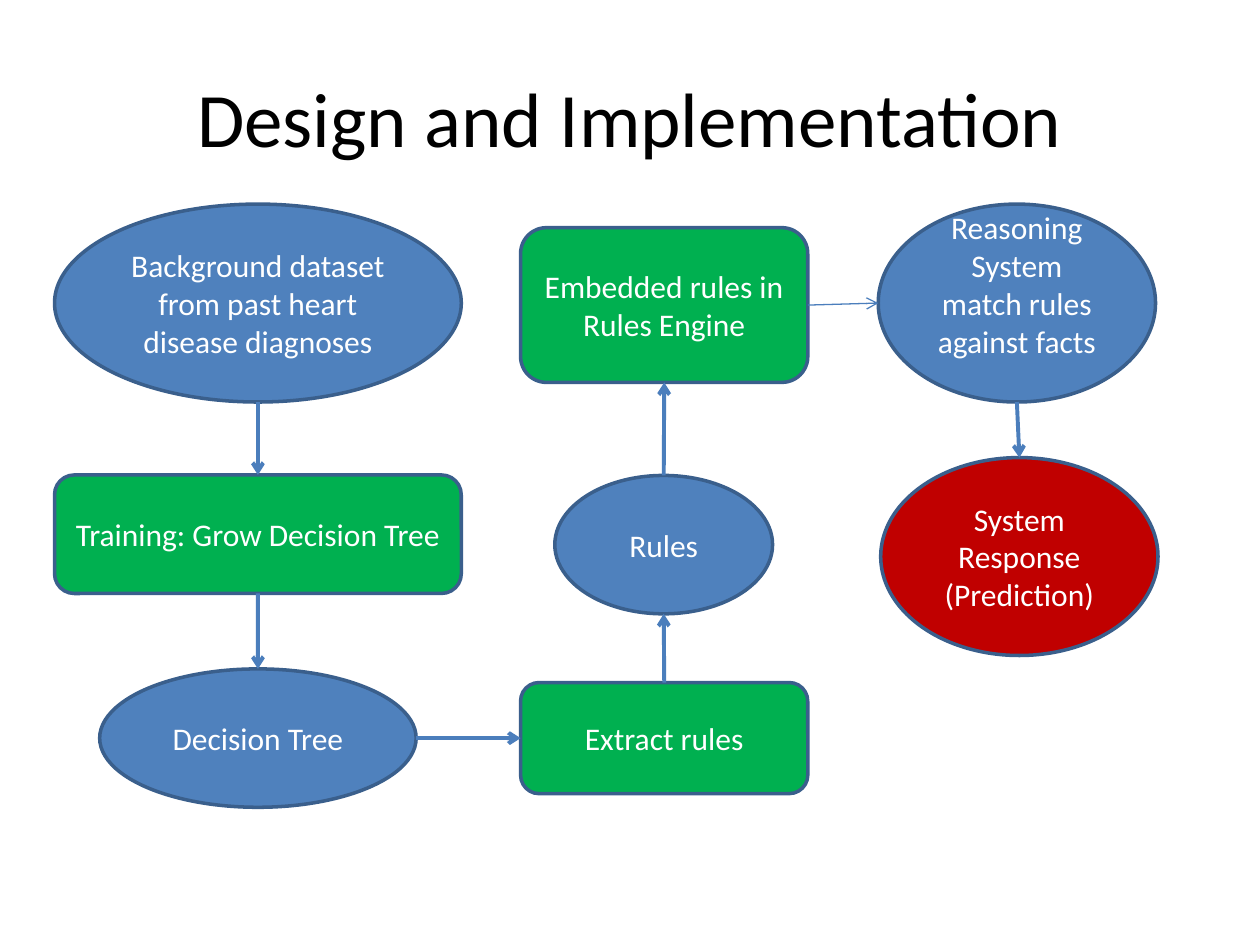
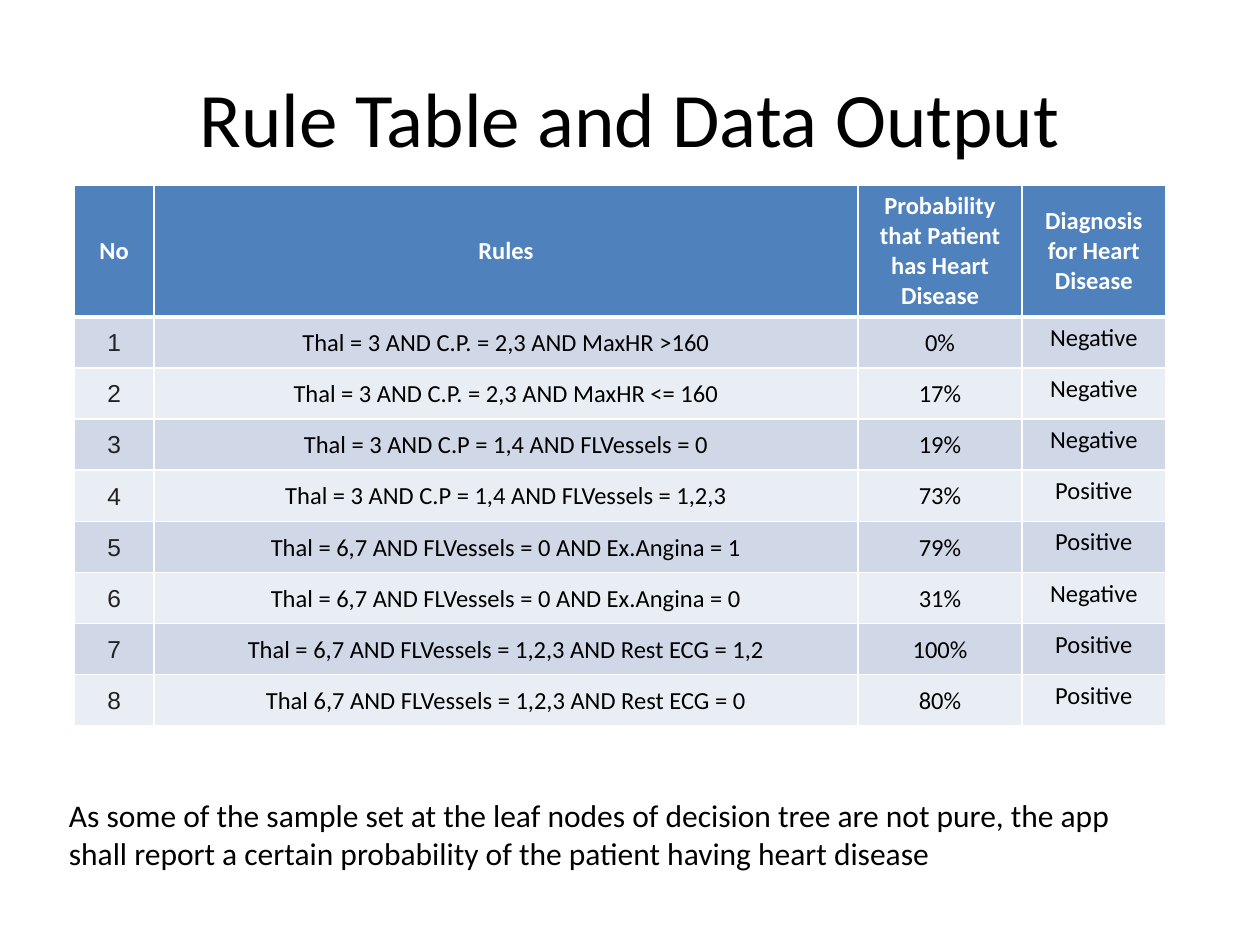
from dataclasses import dataclass

from lxml import etree
from pptx import Presentation
from pptx.dml.color import RGBColor
from pptx.enum.shapes import MSO_CONNECTOR, MSO_SHAPE
from pptx.enum.text import MSO_ANCHOR, PP_ALIGN
from pptx.oxml.ns import qn
from pptx.util import Cm, Pt

OVAL, ROUND = MSO_SHAPE.OVAL, MSO_SHAPE.ROUNDED_RECTANGLE
STRAIGHT = MSO_CONNECTOR.STRAIGHT
LEFT, CENTER = PP_ALIGN.LEFT, PP_ALIGN.CENTER
TOP, MIDDLE = MSO_ANCHOR.TOP, MSO_ANCHOR.MIDDLE
TITLE_ONLY = 5


@dataclass(frozen=True)
class Theme:
    font: str = "Calibri"
    plain: str = "Arial"
    white: str = "FFFFFF"
    black: str = "000000"
    gray: str = "222222"
    blue: str = "4F81BD"
    green: str = "00B050"
    red: str = "C00000"
    edge: str = "3A5F8C"
    arrow: str = "4B7EBC"
    bands: tuple = ("D0D8E8", "E9EDF4")
    title: int = 44
    body: int = 18
    cell: int = 14


THEME = Theme()


def write(frame, text, size=THEME.body, color=THEME.black, font=THEME.font,
          bold=False, align=CENTER):
    """Put one formatted paragraph into a text frame."""
    frame.word_wrap = True
    para = frame.paragraphs[0]
    para.alignment = align
    run = para.add_run()
    run.text = text
    run.font.size, run.font.name, run.font.bold = Pt(size), font, bold
    run.font.color.rgb = RGBColor.from_string(color)


class Deck:
    def __init__(self, theme):
        self.theme = theme
        self.prs = Presentation()
        self.prs.slide_width, self.prs.slide_height = Cm(25.4), Cm(19.05)
        self.slide = None

    def page(self, title):
        layout = self.prs.slide_layouts[TITLE_ONLY]
        self.slide = self.prs.slides.add_slide(layout)
        head = self.slide.shapes.title
        head.left, head.top = Cm(1.27), Cm(0.76)
        head.width, head.height = Cm(22.86), Cm(3.18)
        head.text_frame.vertical_anchor = MIDDLE
        write(head.text_frame, title, size=self.theme.title)

    def node(self, kind, text, fill, mid, size, foot=0.13):
        """Add a box centred on mid; foot is its lower text margin."""
        (x, y), (w, h) = mid, size
        box = self.slide.shapes.add_shape(
            kind, Cm(x - w / 2), Cm(y - h / 2), Cm(w), Cm(h))
        box.shadow.inherit = False
        box.fill.solid()
        box.fill.fore_color.rgb = RGBColor.from_string(fill)
        box.line.color.rgb = RGBColor.from_string(self.theme.edge)
        box.line.width = Pt(2)
        box.text_frame.vertical_anchor = MIDDLE
        box.text_frame.margin_bottom = Cm(foot)
        write(box.text_frame, text, color=self.theme.white)
        return box

    def arrow(self, start, end, width=2.25):
        line = self.slide.shapes.add_connector(STRAIGHT, *start, *end)
        line.line.color.rgb = RGBColor.from_string(self.theme.arrow)
        line.line.width = Pt(width)
        props = line._element.spPr
        etree.SubElement(props.find(qn("a:ln")), qn("a:tailEnd"), type="arrow")
        etree.SubElement(props, qn("a:effectLst"))

    def note(self, text, x, y, w, h):
        box = self.slide.shapes.add_textbox(Cm(x), Cm(y), Cm(w), Cm(h))
        write(box.text_frame, text, align=LEFT)

    def border(self, cell, tag, width):
        line = etree.SubElement(cell._tc.get_or_add_tcPr(), qn("a:" + tag),
                                w=str(Pt(width)))
        fill = etree.SubElement(line, qn("a:solidFill"))
        etree.SubElement(fill, qn("a:srgbClr"), val=self.theme.white)

    def table(self, rows, x, y, widths, heights):
        grid = self.slide.shapes.add_table(
            len(rows), len(widths), Cm(x), Cm(y),
            Cm(sum(widths)), Cm(sum(heights))).table
        for col, width in zip(grid.columns, widths):
            col.width = Cm(width)
        for r, (row, height) in enumerate(zip(rows, heights)):
            grid.rows[r].height = Cm(height)
            for c, text in enumerate(row):
                self.cell(grid.cell(r, c), r, c, text)

    def cell(self, cell, r, c, text):
        look, head, last = self.theme, r == 0, c == 3
        # Borders come before the fill in the cell properties
        for tag, width in (("lnL", 1), ("lnR", 1), ("lnT", 3 if r == 1 else 1),
                           ("lnB", 3 if head else 1)):
            self.border(cell, tag, width)
        cell.fill.solid()
        cell.fill.fore_color.rgb = RGBColor.from_string(
            look.blue if head else look.bands[(r - 1) % 2])
        cell.vertical_anchor = TOP if last and not head else MIDDLE
        if not head and not last:
            cell.margin_left = cell.margin_right = cell.margin_top = Cm(0.03)
            cell.margin_bottom = 0
        style = {"color": look.black}
        if head:
            style = {"color": look.white, "bold": True}
        elif c == 0:
            style = {"color": look.gray, "font": look.plain}
        write(cell.text_frame, text, size=look.cell, **style)


def side(box, dx, dy):
    """Middle of the edge of a box that lies in direction dx, dy."""
    return (box.left + box.width * (1 + dx) // 2,
            box.top + box.height * (1 + dy) // 2)


def flow(deck):
    look = deck.theme
    deck.page("Design and Implementation")

    # Left column: from data to tree
    data = deck.node(OVAL, "Background dataset from past heart disease diagnoses",
                     look.blue, (5.2, 6.11), (8.2, 3.99))
    train = deck.node(ROUND, "Training: Grow Decision Tree",
                      look.green, (5.2, 10.77), (8.2, 2.39))
    tree = deck.node(OVAL, "Decision Tree", look.blue, (5.2, 14.88), (6.38, 2.79))

    # Middle column: from tree to rules
    pull = deck.node(ROUND, "Extract rules", look.green, (13.39, 14.88), (5.79, 2.24))
    rules = deck.node(OVAL, "Rules", look.blue, (13.38, 10.98), (4.39, 2.79))
    embed = deck.node(ROUND, "Embedded rules in Rules Engine",
                      look.green, (13.39, 6.15), (5.79, 3.12))

    # Right column: reasoning and reply
    reason = deck.node(OVAL, "Reasoning System match rules against facts",
                       look.blue, (20.5, 6.11), (5.59, 3.99), foot=0.9)
    reply = deck.node(OVAL, "System Response (Prediction)",
                      look.red, (20.55, 11.22), (5.59, 3.99))

    # Arrows
    down, up, right = (0, 1), (0, -1), (1, 0)
    for start, end, (dx, dy), width in (
            (data, train, down, 2.25), (train, tree, down, 2.25),
            (tree, pull, right, 2.25), (pull, rules, up, 2.25),
            (rules, embed, up, 2.25), (embed, reason, right, 0.75),
            (reason, reply, down, 2.25)):
        deck.arrow(side(start, dx, dy), side(end, -dx, -dy), width)


def output(deck):
    deck.page("Rule Table and Data Output")

    # Rule table
    head = ("No", "Rules", "Probability that Patient has Heart Disease",
            "Diagnosis for Heart Disease")
    rules = (
        ("Thal = 3 AND C.P. = 2,3 AND MaxHR >160", "0%", "Negative"),
        ("Thal = 3 AND C.P. = 2,3 AND MaxHR <= 160", "17%", "Negative"),
        ("Thal = 3 AND C.P = 1,4 AND FLVessels = 0", "19%", "Negative"),
        ("Thal = 3 AND C.P = 1,4 AND FLVessels = 1,2,3", "73%", "Positive"),
        ("Thal = 6,7 AND FLVessels = 0 AND Ex.Angina = 1", "79%", "Positive"),
        ("Thal = 6,7 AND FLVessels = 0 AND Ex.Angina = 0", "31%", "Negative"),
        ("Thal = 6,7 AND FLVessels = 1,2,3 AND Rest ECG = 1,2", "100%", "Positive"),
        ("Thal 6,7 AND FLVessels = 1,2,3 AND Rest ECG = 0", "80%", "Positive"),
    )
    rows = [head] + [(str(n), *rule) for n, rule in enumerate(rules, 1)]
    deck.table(rows, 1.5, 3.73, (1.6, 14.2, 3.3, 2.9), [2.65] + [1.03] * len(rules))

    # Closing remark
    deck.note("As some of the sample set at the leaf nodes of decision tree are "
              "not pure, the app shall report a certain probability of the "
              "patient having heart disease", 1.14, 15.93, 22, 1.8)


def main():
    deck = Deck(THEME)
    flow(deck)
    output(deck)
    deck.prs.save("out.pptx")


if __name__ == "__main__":
    main()
